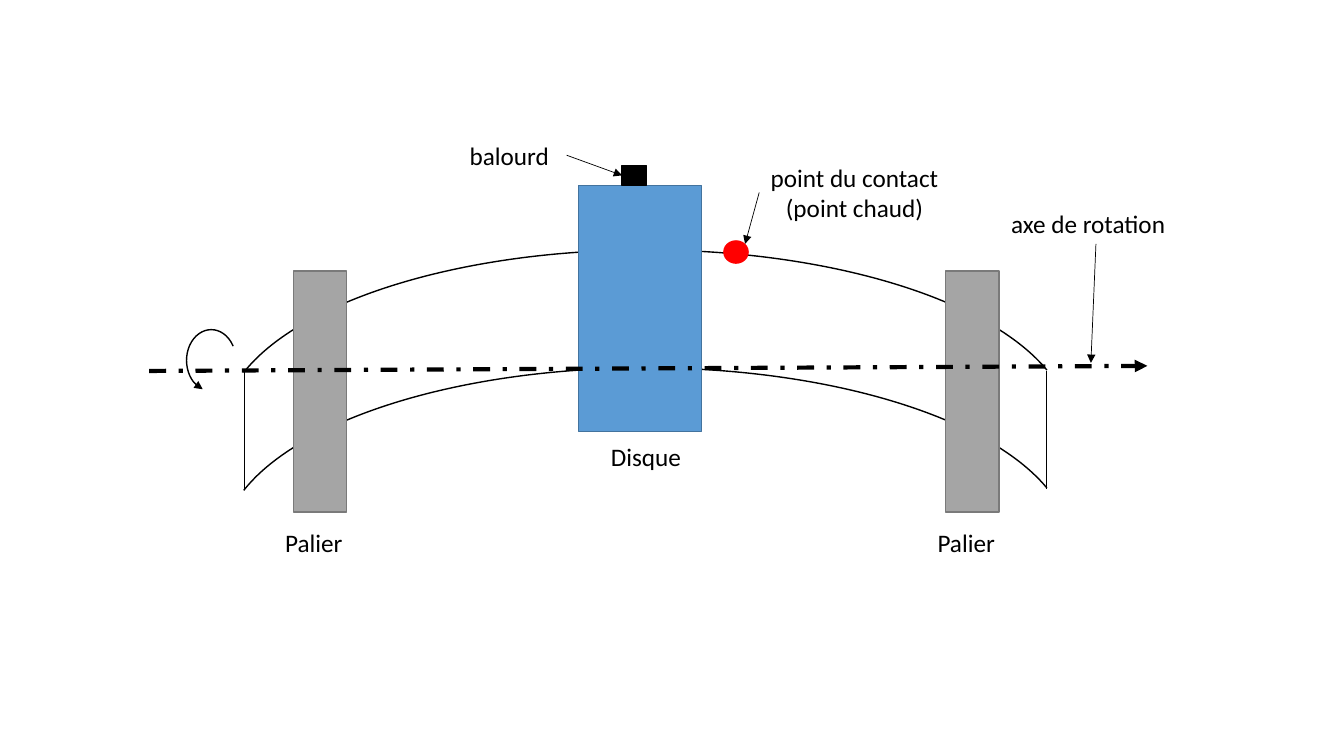
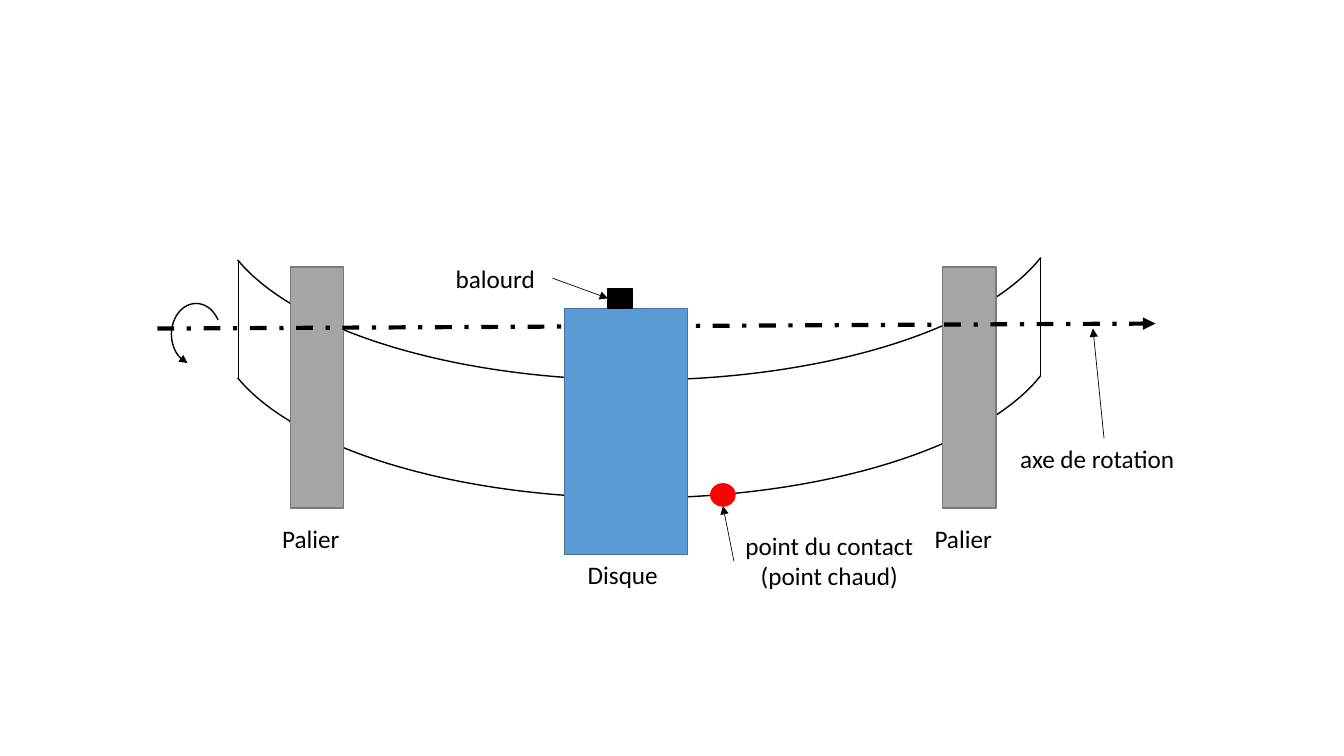
"""Two rotor diagrams: a bowed shaft with its hot spot above, then below, the rotation axis."""
from lxml import etree
from pptx import Presentation, util as u
from pptx.dml.color import RGBColor
from pptx.enum import dml, shapes, text
from pptx.oxml.ns import qn

COLUMNS, ROWS = 13.33, 7.5
THEME = {
    "font": "Calibri", "size": 18, "ink": "000000",
    "bearing": ("A5A5A5", "7A7A7A"), "disk": ("5B9BD5", "43739E"),
    "unbalance": ("000000", "000000"), "hot_spot": ("FF0000", "FF0000"),
    "thin": 0.5, "outline": 1, "axis": 3,
}
WORDS = {
    "bearing": ["Palier"], "disk": ["Disque"], "unbalance": ["balourd "],
    "contact": ["point du contact", "(point chaud)"], "axis": ["axe de rotation"],
}
LABEL_SIZE = {
    "bearing": (0.78, 0.4), "disk": (0.91, 0.4), "unbalance": (1.06, 0.4),
    "contact": (1.89, 0.71), "axis": (1.88, 0.4),
}
PART_SIZE = {
    "shaft": (8.42, 3.56), "bearing": (0.53, 2.39), "disk": (1.22, 2.44),
    "unbalance": (0.24, 0.2), "hot_spot": (0.24, 0.22), "spin": (0.61, 0.49),
}
SHAFT_ARC, SPIN_ARC = (112.83, 210.95), (117.85, 34.23)
SHAFT_DEPTH, BEARING_PITCH, AXIS_SPAN = 1.17, 6.47, (9.9, -0.05)
DIAGRAMS = [
    {
        "shaft": (2.2, 2.48), "turn": 0, "ends": [(2.42, 3.69), (10.38, 3.68)],
        "bearing": (2.91, 2.69), "disk": (5.74, 1.84), "disk_label": (5.96, 4.33),
        "axis": (1.48, 3.68), "disk_in_front": False, "spin": (1.79, 3.33),
        "hot_spot": (7.18, 2.39), "contact_label": (7.53, 1.56),
        "contact_arrow": [(7.53, 1.91), (7.39, 2.42)],
        "axis_label": (9.93, 2.02), "axis_arrow": [(10.87, 2.42), (10.82, 3.6)],
    },
    {
        "shaft": (2.12, 0.21), "turn": 180, "ends": [(2.36, 2.58), (10.32, 2.56)],
        "bearing": (2.88, 2.65), "disk": (5.6, 3.06), "disk_label": (5.73, 5.5),
        "axis": (1.56, 3.26), "disk_in_front": True, "spin": (1.64, 3.07),
        "hot_spot": (7.05, 4.8), "contact_label": (7.28, 5.21),
        "contact_arrow": [(7.28, 5.57), (7.17, 5.02)],
        "axis_label": (10.02, 4.35), "axis_arrow": [(10.95, 4.35), (10.84, 3.26)],
    },
]


def shift(point, across, down):
    return point[0] + across, point[1] + down


def lengths(*values):
    return [u.Inches(value) for value in values]


def ink_line(line, color, width, arrow=None, dash=None):
    line.color.rgb = RGBColor.from_string(color)
    line.width = u.Pt(width)
    if dash:
        line.dash_style = dash
    if arrow:
        etree.SubElement(line._get_or_add_ln(), qn(f"a:{arrow}"), type="triangle")


def add_part(canvas, part, at, preset=shapes.MSO_SHAPE.RECTANGLE):
    solid = canvas.add_shape(preset, *lengths(*at, *PART_SIZE[part]))
    fill, edge = THEME[part]
    solid.shadow.inherit = False
    solid.fill.solid()
    solid.fill.fore_color.rgb = RGBColor.from_string(fill)
    ink_line(solid.line, edge, THEME["outline"])


def add_arc(canvas, part, at, angles, turn, arrow=None):
    curve = canvas.add_shape(shapes.MSO_SHAPE.ARC, *lengths(*at, *PART_SIZE[part]))
    curve.adjustments[0], curve.adjustments[1] = angles
    curve.rotation = turn
    curve.shadow.inherit = False
    curve.fill.background()
    ink_line(curve.line, THEME["ink"], THEME["outline"], arrow)


def add_line(canvas, start, end, weight="thin", arrow=None, dash=None):
    stroke = canvas.add_connector(shapes.MSO_CONNECTOR.STRAIGHT, *lengths(*start, *end))
    ink_line(stroke.line, THEME["ink"], THEME[weight], arrow, dash)
    etree.SubElement(stroke._element.spPr, qn("a:effectLst"))


def add_label(canvas, part, at):
    frame = canvas.add_textbox(*lengths(*at, *LABEL_SIZE[part])).text_frame
    frame.word_wrap = part == "axis"
    frame.auto_size = text.MSO_AUTO_SIZE.SHAPE_TO_FIT_TEXT
    frame.text = "\n".join(WORDS[part])
    for paragraph in frame.paragraphs:
        if part == "contact":
            paragraph.alignment = text.PP_ALIGN.CENTER
        font = paragraph.runs[0].font
        for key, value in {"name": THEME["font"], "size": u.Pt(THEME["size"])}.items():
            setattr(font, key, value)
        font.color.rgb = RGBColor.from_string(THEME["ink"])


def add_axis(canvas, diagram):
    add_line(canvas, diagram["axis"], shift(diagram["axis"], *AXIS_SPAN),
             "axis", "tailEnd", dml.MSO_LINE.DASH_DOT)


def add_disk(canvas, diagram):
    disk = diagram["disk"]
    add_part(canvas, "disk", disk)
    add_part(canvas, "unbalance", shift(disk, 0.43, -0.2))
    add_label(canvas, "unbalance", shift(disk, -1.18, -0.5))
    add_line(canvas, shift(disk, -0.12, -0.3), shift(disk, 0.43, -0.1), arrow="tailEnd")
    add_label(canvas, "disk", diagram["disk_label"])


def draw(canvas, diagram):
    for depth in (0, SHAFT_DEPTH):
        add_arc(canvas, "shaft", shift(diagram["shaft"], 0, depth), SHAFT_ARC, diagram["turn"])
    for end in diagram["ends"]:
        add_line(canvas, end, shift(end, 0, SHAFT_DEPTH))
    for pitch in (0, BEARING_PITCH):
        bearing = shift(diagram["bearing"], pitch, 0)
        add_part(canvas, "bearing", bearing)
        add_label(canvas, "bearing", shift(bearing, -0.18, 2.49))
    layers = [add_axis, add_disk] if diagram["disk_in_front"] else [add_disk, add_axis]
    for add_layer in layers:
        add_layer(canvas, diagram)
    add_part(canvas, "hot_spot", diagram["hot_spot"], shapes.MSO_SHAPE.OVAL)
    for part in ("contact", "axis"):
        add_label(canvas, part, diagram[f"{part}_label"])
        add_line(canvas, *diagram[f"{part}_arrow"], arrow="tailEnd")
    add_arc(canvas, "spin", diagram["spin"], SPIN_ARC, 270, "headEnd")


deck = Presentation()
deck.slide_width, deck.slide_height = lengths(COLUMNS, ROWS)
for diagram in DIAGRAMS:
    slide = deck.slides.add_slide(deck.slide_layouts[6])
    draw(slide.shapes.add_group_shape().shapes, diagram)
deck.save("out.pptx")
